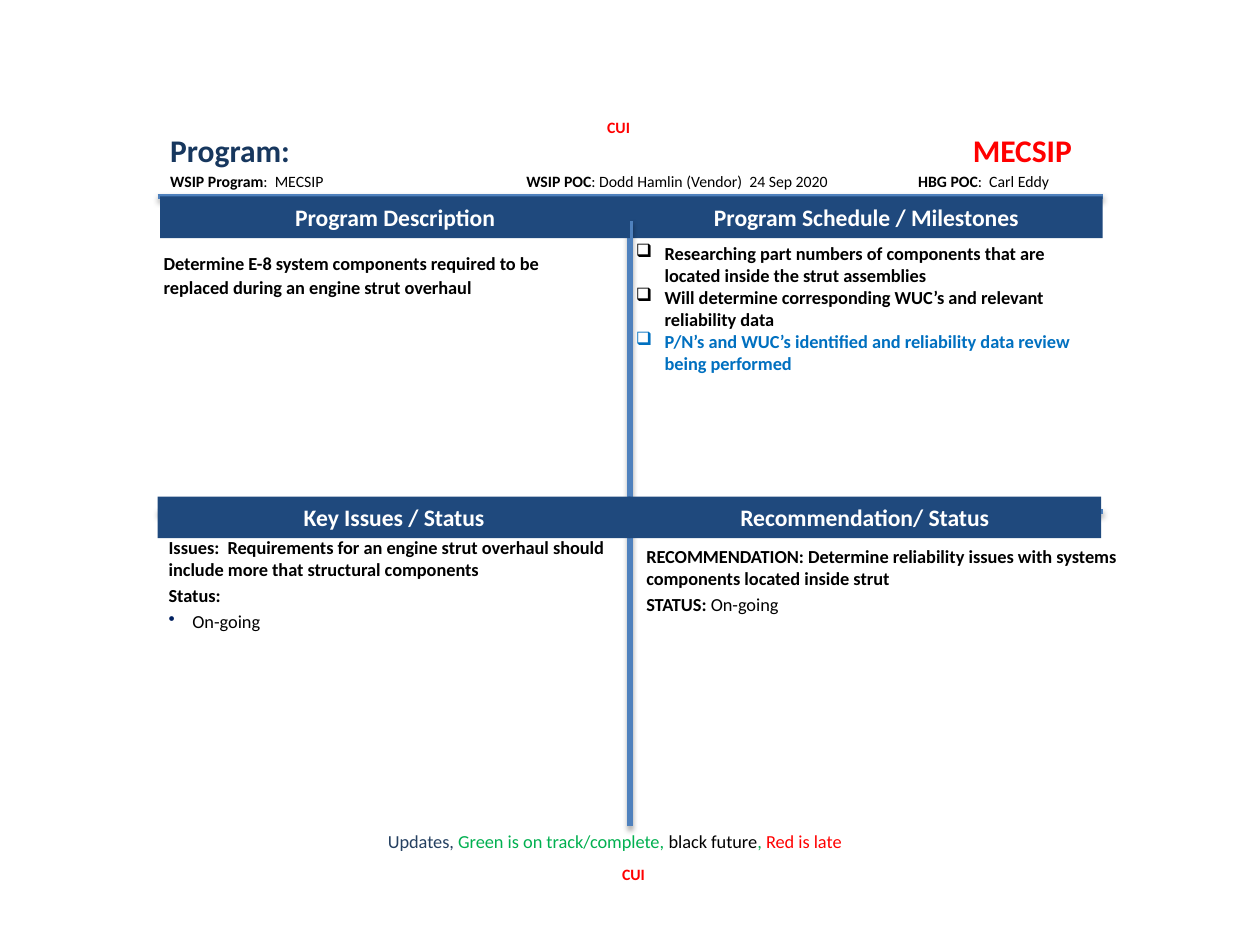
"""Build the four-quadrant program review slide."""
from dataclasses import dataclass

from lxml import etree
from pptx import Presentation
from pptx import util as u
from pptx.dml import color
from pptx.enum import shapes, text
from pptx.oxml import ns

BLACK, RED, GREEN, NAVY = "000000", "FF0000", "00B050", "1F497D"
LEFT, MID, RIGHT = 3.18, 12.7, 22.23
TOP, LOW, HALF, BAND = 3.96, 10.01, 9.53, 0.84
SHADE = (
    f'<a:effectLst {ns.nsdecls("a")}><a:outerShdw blurRad="39000" dist="23000" '
    'dir="5400000" rotWithShape="0"><a:srgbClr val="000000">'
    '<a:alpha val="35000"/></a:srgbClr></a:outerShdw></a:effectLst>'
)


@dataclass
class Run:
    words: str
    hue: str = BLACK
    bold: bool = True


@dataclass
class Para:
    runs: list[Run]
    mark: str = ""
    tint: str = ""
    hang: float = 0
    before: float = 0
    after: float = 0
    lead: object = None
    tab: float = 0


@dataclass
class Box:
    x: float
    y: float
    w: float
    h: float
    paras: list[Para]
    size: float = 10.5


@dataclass
class Band:
    x: float
    y: float
    w: float
    label: str


@dataclass
class Rule:
    x1: float
    y1: float
    x2: float
    y2: float


def rgb(code: str) -> color.RGBColor:
    """Turn a hex string into a colour."""
    return color.RGBColor.from_string(code)


def style(run, size: float, hue: str, bold: bool) -> None:
    """Set the font of one run."""
    run.font.name, run.font.size = "Calibri", u.Pt(size)
    run.font.bold, run.font.color.rgb = bold, rgb(hue)


def layout(par, item: Para) -> None:
    """Set spacing, bullet and tab of one paragraph."""
    if item.before:
        par.space_before = u.Pt(item.before)
    if item.after:
        par.space_after = u.Pt(item.after)
    if item.lead:
        par.line_spacing = item.lead
    props = par._p.get_or_add_pPr()
    if item.mark:
        props.set("marL", str(u.Cm(item.hang)))
        props.set("indent", str(-u.Cm(item.hang)))
        if item.tint:
            tint = etree.SubElement(props, ns.qn("a:buClr"))
            etree.SubElement(tint, ns.qn("a:srgbClr"), val=item.tint)
        etree.SubElement(props, ns.qn("a:buChar"), char=item.mark)
    if item.tab:
        tabs = etree.SubElement(props, ns.qn("a:tabLst"))
        etree.SubElement(tabs, ns.qn("a:tab"), pos=str(u.Cm(item.tab)), algn="r")


def write(slide, box: Box) -> None:
    """Add a text box with its paragraphs."""
    frame = slide.shapes.add_textbox(*map(u.Cm, (box.x, box.y, box.w, box.h))).text_frame
    frame.word_wrap = True
    for i, item in enumerate(box.paras):
        par = frame.add_paragraph() if i else frame.paragraphs[0]
        layout(par, item)
        for part in item.runs:
            run = par.add_run()
            run.text = part.words
            style(run, box.size, part.hue, part.bold)


def head(slide, band: Band) -> None:
    """Add a quadrant heading."""
    shape = slide.shapes.add_shape(
        shapes.MSO_SHAPE.RECTANGLE, *map(u.Cm, (band.x, band.y, band.w, BAND)))
    shape.shadow.inherit = False
    shape.fill.solid()
    shape.fill.fore_color.rgb = rgb(NAVY)
    shape.line.fill.background()
    frame = shape.text_frame
    frame.text = band.label
    frame.vertical_anchor = text.MSO_ANCHOR.TOP
    frame.paragraphs[0].alignment = text.PP_ALIGN.CENTER
    style(frame.paragraphs[0].runs[0], 13.5, "FFFFFF", True)


def draw(slide, rule: Rule) -> None:
    """Add a shadowed divider."""
    line = slide.shapes.add_connector(
        shapes.MSO_CONNECTOR.STRAIGHT, *map(u.Cm, (rule.x1, rule.y1, rule.x2, rule.y2)))
    line.line.width = u.Pt(3)
    line.line.color.rgb = rgb("4F81BD")
    line._element.spPr.append(etree.fromstring(SHADE))


def field(x: float, w: float, name: str, value: str) -> Box:
    """Make a labelled field of the title block."""
    return Box(x, 3.33, w, 0.64, [Para([Run(name), Run(f":  {value}", bold=False)])], 9)


def stamp(x: float, y: float) -> Box:
    """Make a marking."""
    return Box(x, y, 1.02, 0.64, [Para([Run("CUI", RED)])], 9)


TASKS = [
    ("Researching part numbers of components that are located inside the strut assemblies", BLACK),
    ("Will determine corresponding WUC’s and relevant reliability data", BLACK),
    ("P/N’s and WUC’s identified and reliability data review being performed", "0070C0"),
]
ITEMS = [
    Box(LEFT, 2.67, 18.72, 0.89, [Para(
        [Run("Program:\t", "17375E"), Run("MECSIP", RED)], lead=u.Pt(17.2), tab=18.18)], 18),
    field(LEFT, 3.8, "WSIP Program", "MECSIP"),
    Box(10.36, 3.33, 7, 0.64, [Para(
        [Run("WSIP POC"), Run(": Dodd Hamlin (Vendor)  24 Sep 2020", bold=False)])], 9),
    field(18.26, 3.3, "HBG POC", "Carl Eddy"),
    Rule(LEFT, TOP, RIGHT, TOP),
    Band(MID, TOP, HALF, "Program Schedule / Milestones"),
    Rule(LEFT, 10.31, RIGHT, 10.31),
    Rule(MID, 16.66, MID, 4.45),
    Band(LEFT, LOW, HALF, "Key Issues / Status"),
    Band(3.23, TOP, 9.47, "Program Description"),
    Band(12.67, LOW, HALF, "Recommendation/ Status"),
    Box(3.05, 4.93, 9.45, 1.22, [Para([Run(
        "Determine E-8 system components required to be replaced "
        "during an engine strut overhaul")], lead=1.07, after=6)]),
    Box(12.78, 10.87, 11.61, 2.9, [
        Para([Run("RECOMMENDATION: Determine reliability issues with systems "
                  "components located inside strut")]),
        Para([Run("STATUS: "), Run("On-going", bold=False)], before=2.3)]),
    stamp(11.99, 2.24),
    stamp(12.29, 17.3),
    Box(12.57, 4.75, 9.45, 5.4, [
        Para([Run(task, hue)], mark="❑", hang=0.58) for task, hue in TASKS]),
    Box(3.15, 10.69, 9.47, 2.24, [
        Para([Run("Issues:  Requirements for an engine strut overhaul should "
                  "include more that structural components")]),
        Para([Run("Status:")], before=2.3),
        Para([Run("On-going", bold=False)], "•", "002060", 0.48, 2.3)]),
    Box(7.57, 16.61, 10.29, 0.71, [Para([
        Run("Updates, ", "254061", False),
        Run("Green is on track/complete, ", GREEN, False),
        Run("black future", BLACK, False),
        Run(", ", GREEN, False),
        Run("Red is late", RED, False)])]),
]


def main() -> None:
    """Build and save the deck."""
    deck = Presentation()
    deck.slide_width, deck.slide_height = u.Cm(25.4), u.Cm(19.05)
    slide = deck.slides.add_slide(deck.slide_layouts[6])
    tools = {Box: write, Band: head, Rule: draw}
    for item in ITEMS:
        tools[type(item)](slide, item)
    deck.save("out.pptx")


if __name__ == "__main__":
    main()
